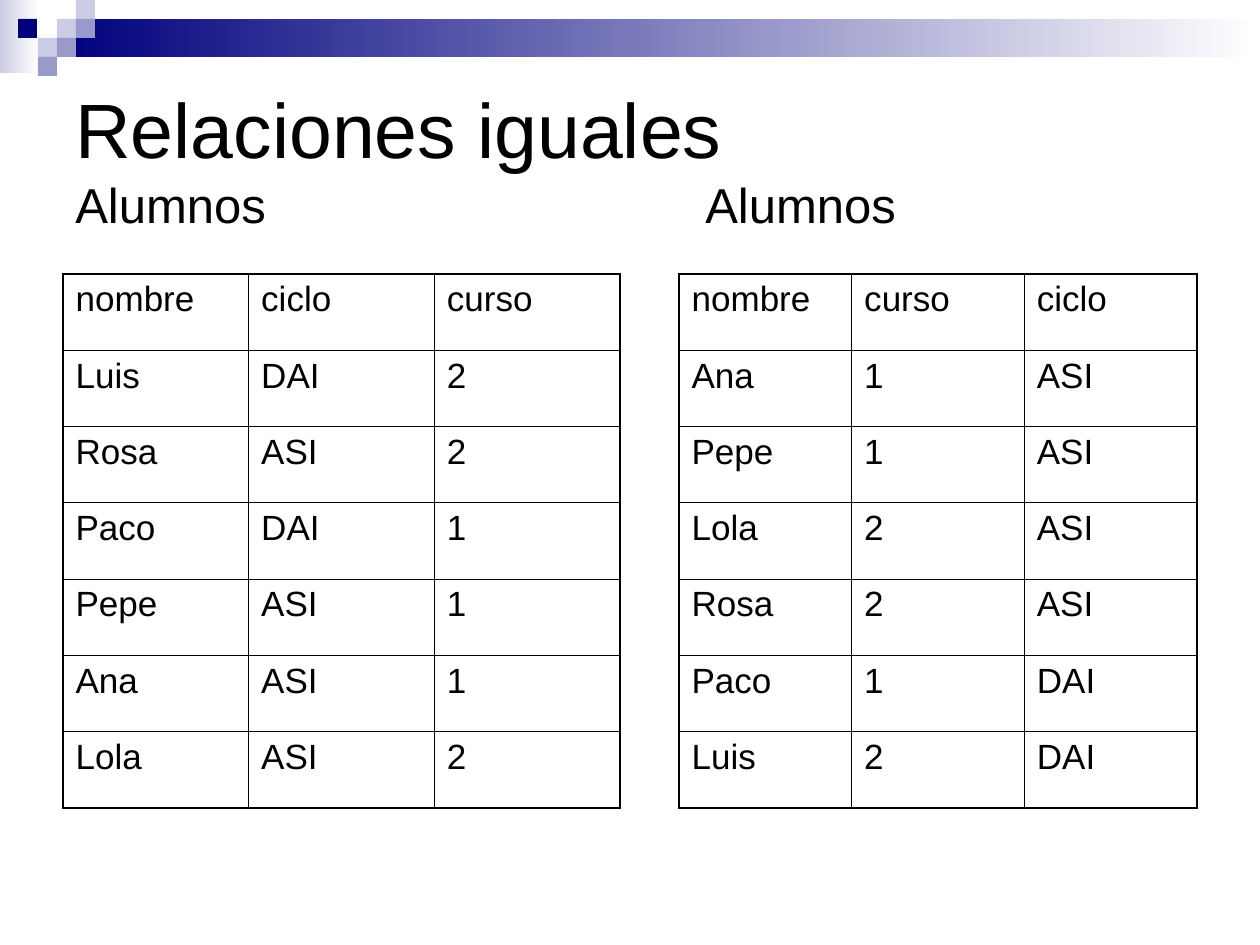
import pptx
import pptx.util
import pptx.dml.color
import pptx.enum.shapes
import pptx.enum.text
import pptx.oxml
import pptx.oxml.ns

PX = 914400 // 126
NS = pptx.oxml.ns.nsdecls("a")
COLORS = {"navy": "00007D", "mid": "9999CC", "pale": "CCCCE6",
          "white": "FFFFFF", "black": "000000"}


def tint(name):
    return pptx.dml.color.RGBColor.from_string(COLORS[name])


class Deck:
    font = "Arial"
    thick = 1.08
    thin = 0.45

    def __init__(self):
        self.prs = pptx.Presentation()
        self.prs.slide_width = pptx.util.Inches(10)
        self.prs.slide_height = pptx.util.Inches(7.5)
        self.slide = self.prs.slides.add_slide(self.prs.slide_layouts[6])

    def style(self, run, size):
        run.font.name = self.font
        run.font.size = pptx.util.Pt(size)
        run.font.color.rgb = tint("black")

    def rect(self, box, color, fade=False):
        shape = self.slide.shapes.add_shape(
            pptx.enum.shapes.MSO_SHAPE.RECTANGLE, *[n * PX for n in box])
        shape.shadow.inherit = False
        shape.line.fill.background()
        if fade:
            shape.fill.gradient()
            shape.fill.gradient_angle = 180
            for stop, name, pos in zip(shape.fill.gradient_stops, ("white", color), (0, 1)):
                stop.color.rgb = tint(name)
                stop.position = pos
        else:
            shape.fill.solid()
            shape.fill.fore_color.rgb = tint(color)

    def title(self, box, text, sizes, tab):
        frame = self.slide.shapes.add_textbox(*[n * PX for n in box]).text_frame
        frame.word_wrap = True
        frame.vertical_anchor = pptx.enum.text.MSO_ANCHOR.MIDDLE
        para = frame.paragraphs[0]
        para.text = text
        para._p.get_or_add_pPr().append(pptx.oxml.parse_xml(
            f'<a:tabLst {NS}><a:tab pos="{tab * PX}" algn="l"/></a:tabLst>'))
        for run, size in zip(para.runs, sizes):
            self.style(run, size)

    def edge(self, cell, sides):
        props = cell._tc.get_or_add_tcPr()
        for i, (side, outer) in enumerate(sides.items()):
            width = pptx.util.Pt(self.thick if outer else self.thin)
            props.insert(i, pptx.oxml.parse_xml(
                f'<a:ln{side} {NS} w="{width}"><a:solidFill>'
                f'<a:srgbClr val="{COLORS["black"]}"/></a:solidFill></a:ln{side}>'))

    def table(self, box, rows):
        high, wide = len(rows), len(rows[0])
        grid = self.slide.shapes.add_table(high, wide, *[n * PX for n in box]).table
        grid.first_row = grid.horz_banding = False
        for r, row in enumerate(rows):
            for c, text in enumerate(row):
                cell = grid.cell(r, c)
                cell.fill.background()
                cell.text_frame.text = text
                self.style(cell.text_frame.paragraphs[0].runs[0], 20)
                self.edge(cell, {"L": c == 0, "R": c == wide - 1,
                                 "T": r == 0, "B": r == high - 1})


def main():
    deck = Deck()
    deck.rect((0, 0, 39, 73), "pale", fade=True)
    deck.rect((57, 19, 1203, 38), "navy", fade=True)
    side = 19
    for left, top, color in [(57, 19, "pale"), (76, 0, "pale"), (76, 19, "mid"),
                             (38, 38, "pale"), (18, 19, "navy"), (57, 38, "mid"),
                             (38, 57, "mid")]:
        deck.rect((left, top, side, side), color)

    deck.title((63, 63, 1134, 189), "Relaciones iguales\vAlumnos\tAlumnos", (44, 28), 630)
    deck.table((63, 274, 557, 534), [
        ("nombre", "ciclo", "curso"),
        ("Luis", "DAI", "2"),
        ("Rosa", "ASI", "2"),
        ("Paco", "DAI", "1"),
        ("Pepe", "ASI", "1"),
        ("Ana", "ASI", "1"),
        ("Lola", "ASI", "2"),
    ])
    deck.table((679, 274, 518, 534), [
        ("nombre", "curso", "ciclo"),
        ("Ana", "1", "ASI"),
        ("Pepe", "1", "ASI"),
        ("Lola", "2", "ASI"),
        ("Rosa", "2", "ASI"),
        ("Paco", "1", "DAI"),
        ("Luis", "2", "DAI"),
    ])
    deck.prs.save("out.pptx")


if __name__ == "__main__":
    main()
